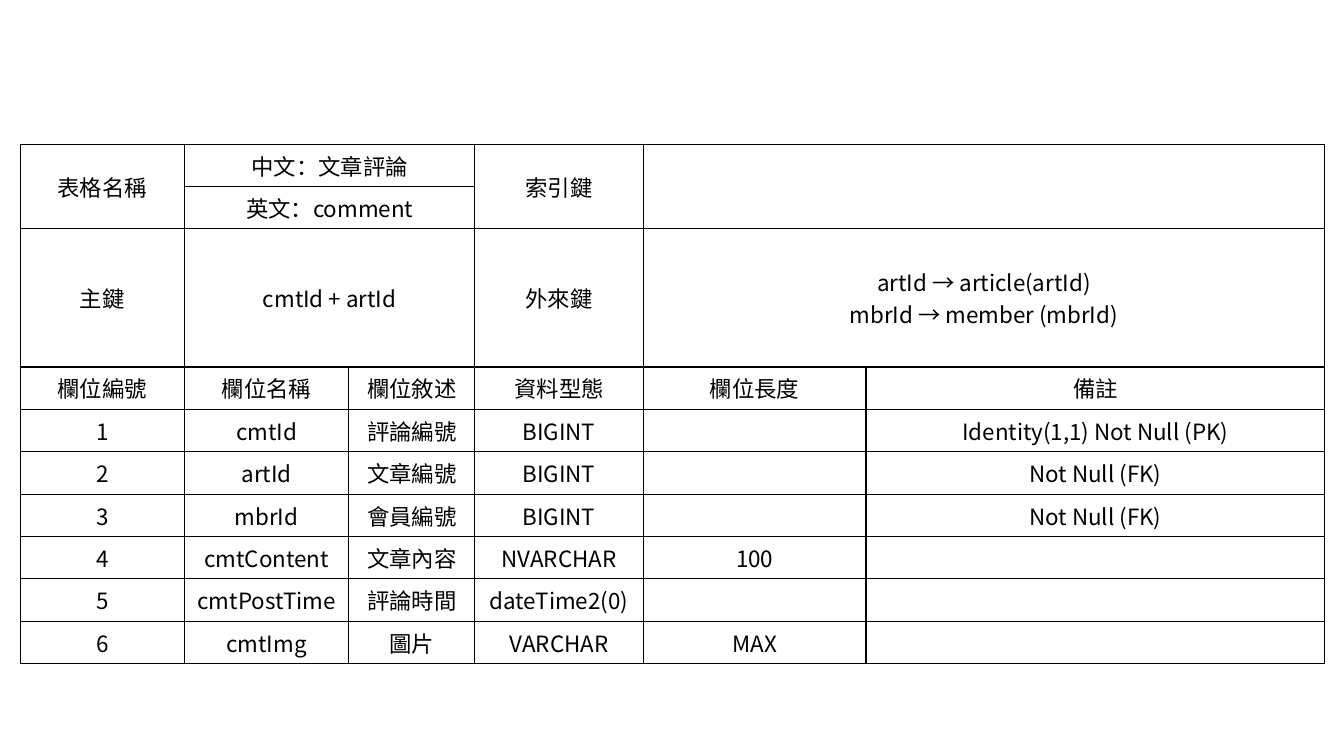
from lxml.etree import SubElement
from pptx import Presentation
from pptx.dml.color import RGBColor
from pptx.enum.text import MSO_ANCHOR as Anchor, PP_ALIGN as Align
from pptx.oxml.ns import qn
from pptx.util import Inches, Pt

BLACK = RGBColor(0x00, 0x00, 0x00)
WHITE = RGBColor(0xFF, 0xFF, 0xFF)
FONT = "Noto Sans CJK TC"

COLUMN_WIDTHS = [1.63, 1.63, 1.25, 1.67, 2.21, 4.55]
LINE_HEIGHT = 0.42
KEY_ROW = 2
KEY_HEIGHT = 1.37

ROWS = [
    ["表格名稱", "中文：文章評論", "", "索引鍵", "", ""],
    ["", "英文：comment", "", "", "", ""],
    ["主鍵", "cmtId + artId", "", "外來鍵",
     "artId → article(artId)\nmbrId → member (mbrId)", ""],
    ["欄位編號", "欄位名稱", "欄位敘述", "資料型態", "欄位長度", "備註"],
    ["1", "cmtId", "評論編號", "BIGINT", "", "Identity(1,1) Not Null (PK)"],
    ["2", "artId", "文章編號", "BIGINT", "", "Not Null (FK)"],
    ["3", "mbrId", "會員編號", "BIGINT", "", "Not Null (FK)"],
    ["4", "cmtContent", "文章內容", "NVARCHAR", "100", ""],
    ["5", "cmtPostTime", "評論時間", "dateTime2(0)", "", ""],
    ["6", "cmtImg", "圖片", "VARCHAR", "MAX", ""],
]
MERGES = [
    ((0, 0), (1, 0)),
    ((0, 1), (0, 2)),
    ((1, 1), (1, 2)),
    ((0, 3), (1, 3)),
    ((0, 4), (1, 5)),
    ((2, 1), (2, 2)),
    ((2, 4), (2, 5)),
]


def style_cell(cell):
    cell.vertical_anchor = Anchor.MIDDLE
    properties = cell._tc.get_or_add_tcPr()
    for side in ("lnL", "lnR", "lnT", "lnB"):
        border = SubElement(properties, qn(f"a:{side}"), w=str(Pt(1)))
        paint = SubElement(border, qn("a:solidFill"))
        SubElement(paint, qn("a:srgbClr"), val=str(BLACK))
    cell.fill.solid()
    cell.fill.fore_color.rgb = WHITE


def write_cell(cell, text):
    for index, line in enumerate(text.split("\n")):
        frame = cell.text_frame
        para = frame.add_paragraph() if index else frame.paragraphs[0]
        para.alignment = Align.CENTER
        if line:
            span = para.add_run()
            span.text = line
            span.font.size = Pt(16)
            span.font.name = FONT
            span.font.color.rgb = BLACK
            SubElement(span.font._element, qn("a:ea"), typeface=FONT)


deck = Presentation()
deck.slide_width = Inches(13.33)
deck.slide_height = Inches(7.5)
page = deck.slides.add_slide(deck.slide_layouts[6])

row_heights = [KEY_HEIGHT if index == KEY_ROW else LINE_HEIGHT
               for index in range(len(ROWS))]
frame = page.shapes.add_table(
    len(ROWS), len(COLUMN_WIDTHS), Inches(0.2), Inches(1.43),
    Inches(sum(COLUMN_WIDTHS)), Inches(sum(row_heights)))
table = frame.table
table.first_row = False
table.horz_banding = False

for column, width in zip(table.columns, COLUMN_WIDTHS):
    column.width = Inches(width)
for row, height in zip(table.rows, row_heights):
    row.height = Inches(height)

for row, texts in zip(table.rows, ROWS):
    for cell, text in zip(row.cells, texts):
        style_cell(cell)
        write_cell(cell, text)

for first, last in MERGES:
    table.cell(*first).merge(table.cell(*last))

deck.save("out.pptx")
